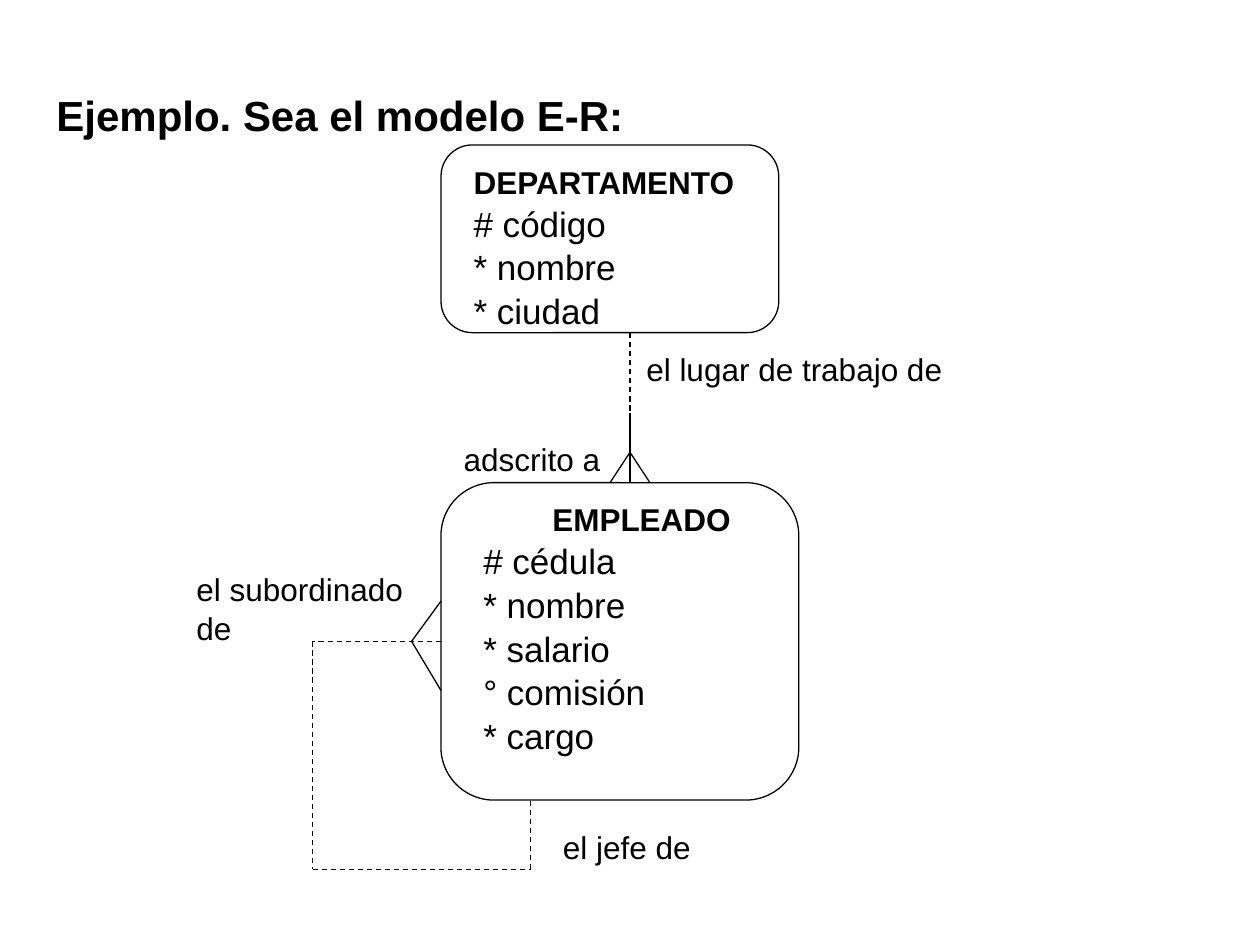
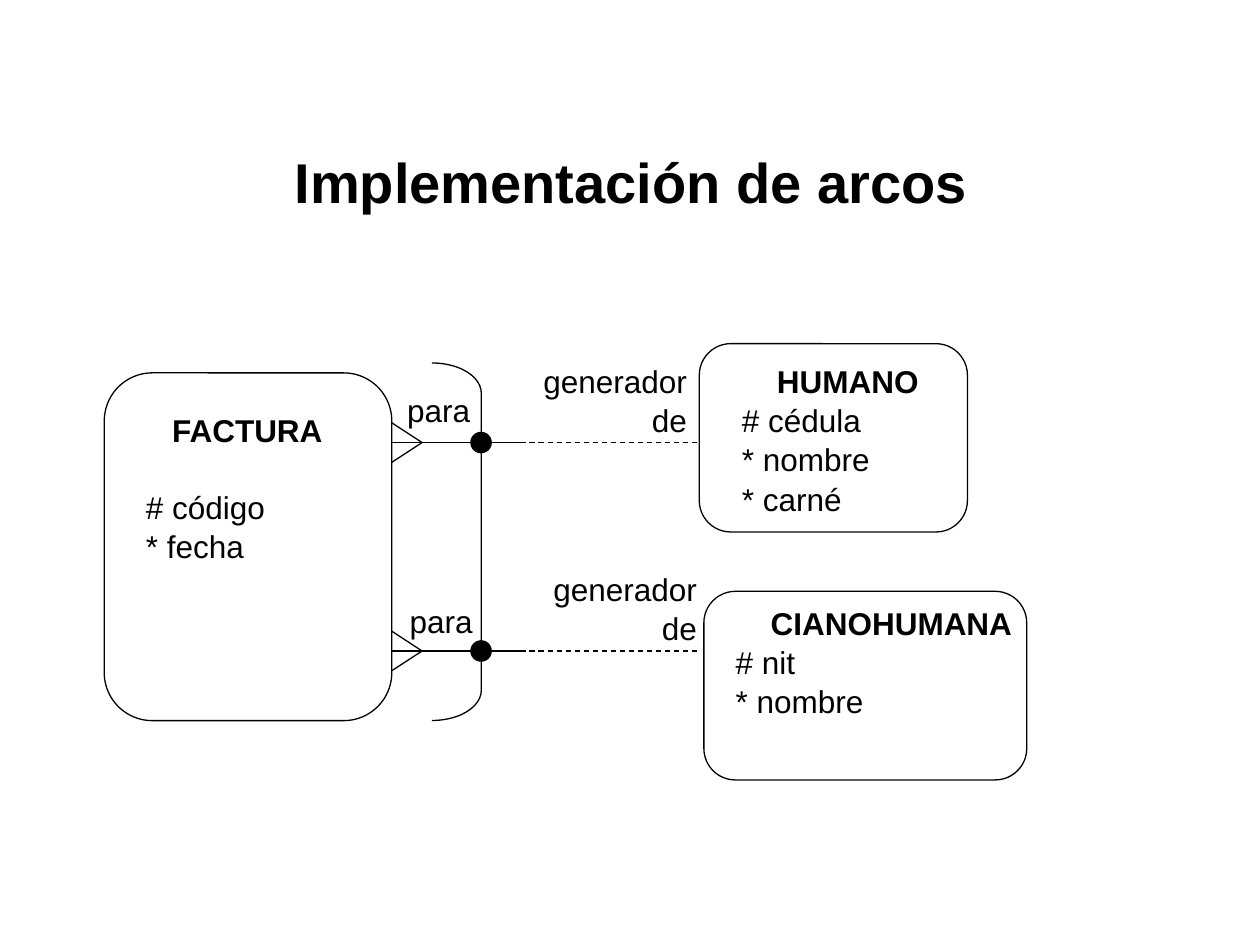
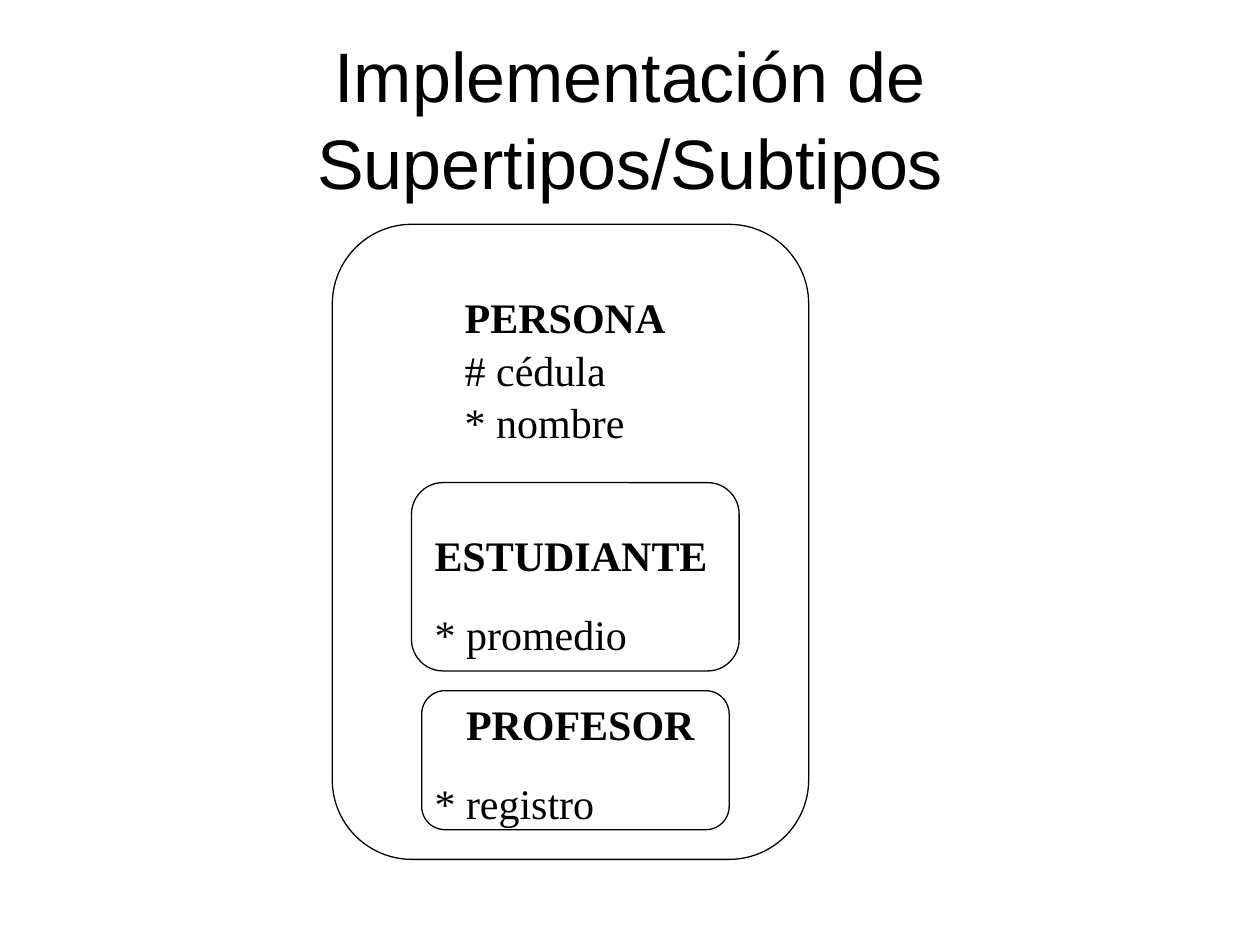
from lxml import etree
from pptx import Presentation
from pptx.dml.color import RGBColor
from pptx.enum import dml, shapes, text
from pptx.oxml import ns
from pptx.util import Pt

INK = "000000"
SANS, SERIF = "Arial", "Times New Roman"
LEFT, CENTER, RIGHT = text.PP_ALIGN.LEFT, text.PP_ALIGN.CENTER, text.PP_ALIGN.RIGHT
ROUNDED = shapes.MSO_SHAPE.ROUNDED_RECTANGLE
BRACKET = shapes.MSO_SHAPE.RIGHT_BRACKET
DOT = shapes.MSO_SHAPE.OVAL


def ink_line(line, dashed=False):
    line.color.rgb = RGBColor.from_string(INK)
    line.width = Pt(0.75)
    if dashed:
        line.dash_style = dml.MSO_LINE.DASH


def write(slide, box, lines, size=18, font=SANS, heading=None, align=LEFT,
          indents=(0, 0), gap=0, top=3.6, anchor=text.MSO_ANCHOR.TOP):
    frame = slide.shapes.add_textbox(*map(Pt, box)).text_frame
    frame.word_wrap = True
    frame.margin_top = Pt(top)
    frame.vertical_anchor = anchor
    frame.text = "\n".join(lines)
    for row, paragraph in enumerate(frame.paragraphs):
        is_heading = heading is not None and row == 0
        paragraph.alignment = align
        paragraph.line_spacing = 1.04
        paragraph.space_before = Pt(gap if row == 1 else 0)
        indent = indents[0] if row == 0 else indents[1]
        paragraph._p.get_or_add_pPr().set("marL", str(Pt(indent)))
        style = paragraph.runs[0].font
        style.name = font
        style.size = Pt(heading if is_heading else size)
        style.bold = is_heading
        style.color.rgb = RGBColor.from_string(INK)


deck = Presentation()
deck.slide_width, deck.slide_height = Pt(720), Pt(540)
model, arcs, subtypes = [deck.slides.add_slide(deck.slide_layouts[6]) for _ in range(3)]

outlines = [
    (model, ROUNDED, 0.167, (252, 82.8, 193, 107.3)),
    (model, ROUNDED, 0.167, (252, 275.8, 204.5, 181.4)),
    (arcs, ROUNDED, 0.167, (59.6, 213.1, 164.3, 198.7)),
    (arcs, ROUNDED, 0.167, (399.6, 196.4, 153.2, 107.6)),
    (arcs, ROUNDED, 0.167, (402.2, 337.9, 184.5, 107.8)),
    (arcs, BRACKET, 0.61, (246.8, 207.4, 28.2, 204.3)),
    (subtypes, ROUNDED, 0.167, (189.9, 128.2, 272.2, 362.9)),
    (subtypes, ROUNDED, 0.167, (235.2, 275.8, 187.2, 107.6)),
    (subtypes, ROUNDED, 0.167, (241, 394.7, 175.7, 79.4)),
]
wires = [
    (model, (360, 236.2), (360, 275.8), False),
    (model, (360, 190.4), (360, 236.2), True),
    (model, (360, 258.5), (348.6, 275.8), False),
    (model, (360, 258.5), (371.4, 275.8), False),
    (model, (252, 343.5), (235.2, 366.5), False),
    (model, (235.2, 366.5), (252, 394.6), False),
]
loop = [(252, 366.5), (178.6, 366.5), (178.6, 496.8), (303.2, 496.8), (303.2, 457.2)]
wires += [(model, start, end, True) for start, end in zip(loop, loop[1:])]

for y in (252.9, 372):
    outlines.append((arcs, DOT, None, (269.1, y - 5.8, 11.6, 11.6)))
    wires += [
        (arcs, (223.9, y - 11.3), (241.2, y), False),
        (arcs, (241.2, y), (223.9, y + 11.3), False),
        (arcs, (223.9, y), (297.4, y), False),
        (arcs, (297.4, y), (399.6, y), True),
    ]

for slide, kind, corner, box in outlines:
    outline = slide.shapes.add_shape(kind, *map(Pt, box))
    outline.shadow.inherit = False
    ink_line(outline.line)
    if kind == DOT:
        outline.fill.solid()
        outline.fill.fore_color.rgb = RGBColor.from_string(INK)
    else:
        outline.fill.background()
        outline.adjustments[0] = corner

for slide, start, end, dashed in wires:
    wire = slide.shapes.add_connector(shapes.MSO_CONNECTOR.STRAIGHT, *map(Pt, start + end))
    ink_line(wire.line, dashed)
    etree.SubElement(wire._element.spPr, ns.qn("a:effectLst"))

write(model, (25.2, 0, 648, 90), ["Ejemplo. Sea el modelo E-R:"], heading=24, top=50)
write(model, (263.5, 88.6, 168, 100.8),
      ["DEPARTAMENTO", "# código", "* nombre", "* ciudad"], size=20, heading=18)
write(model, (263.5, 281.5, 209.5, 149),
      ["EMPLEADO", "# cédula", "* nombre", "* salario", "° comisión", "* cargo"],
      size=20, heading=18, indents=(45, 5.56))
write(model, (314.6, 468.7, 88, 28.8), ["el jefe de"])
write(model, (105.1, 321.1, 140, 50.4), ["el subordinado", "de"])
write(model, (362.2, 195.8, 209.5, 28.8), ["el lugar de trabajo de"])
write(model, (257.8, 247, 118.8, 28.8), ["adscrito a"])

write(arcs, (36.7, 77, 648, 70.6), ["Implementación de arcos"], heading=32, align=CENTER, top=5.6)
write(arcs, (76.3, 230.4, 117.4, 93.6), ["FACTURA", "# código", "* fecha"],
      heading=18, indents=(15, 0), gap=21.5)
write(arcs, (416.9, 202.3, 136, 115.2), ["HUMANO", "# cédula", "* nombre", "* carné"],
      heading=18, indents=(20, 0))
write(arcs, (413.3, 340.6, 178, 93.6), ["CIANOHUMANA", "# nit", "* nombre"],
      heading=18, indents=(20, 0))
for x, y in ((297.4, 202.3), (303.1, 321.1)):
    write(arcs, (x, y, 102.2, 50.4), ["generador de"], align=RIGHT)
for x, y in ((213.1, 218.9), (214.6, 339.8)):
    write(arcs, (x, y, 62.6, 28.8), ["para"], align=RIGHT)

write(subtypes, (36, 21.6, 648, 90), ["Implementación de Supertipos/Subtipos"],
      size=40, align=CENTER, anchor=text.MSO_ANCHOR.MIDDLE)
write(subtypes, (258.5, 162, 130, 93.6), ["PERSONA", "# cédula", "* nombre"],
      size=24, font=SERIF, heading=24)
for y, name, attribute, indent in ((298.1, "ESTUDIANTE", "* promedio", 0),
                                   (394.6, "PROFESOR", "* registro", 18)):
    write(subtypes, (241.2, y, 209.5, 79.9), [name, attribute],
          size=24, font=SERIF, heading=24, indents=(indent, 0), gap=15)

deck.save("out.pptx")
